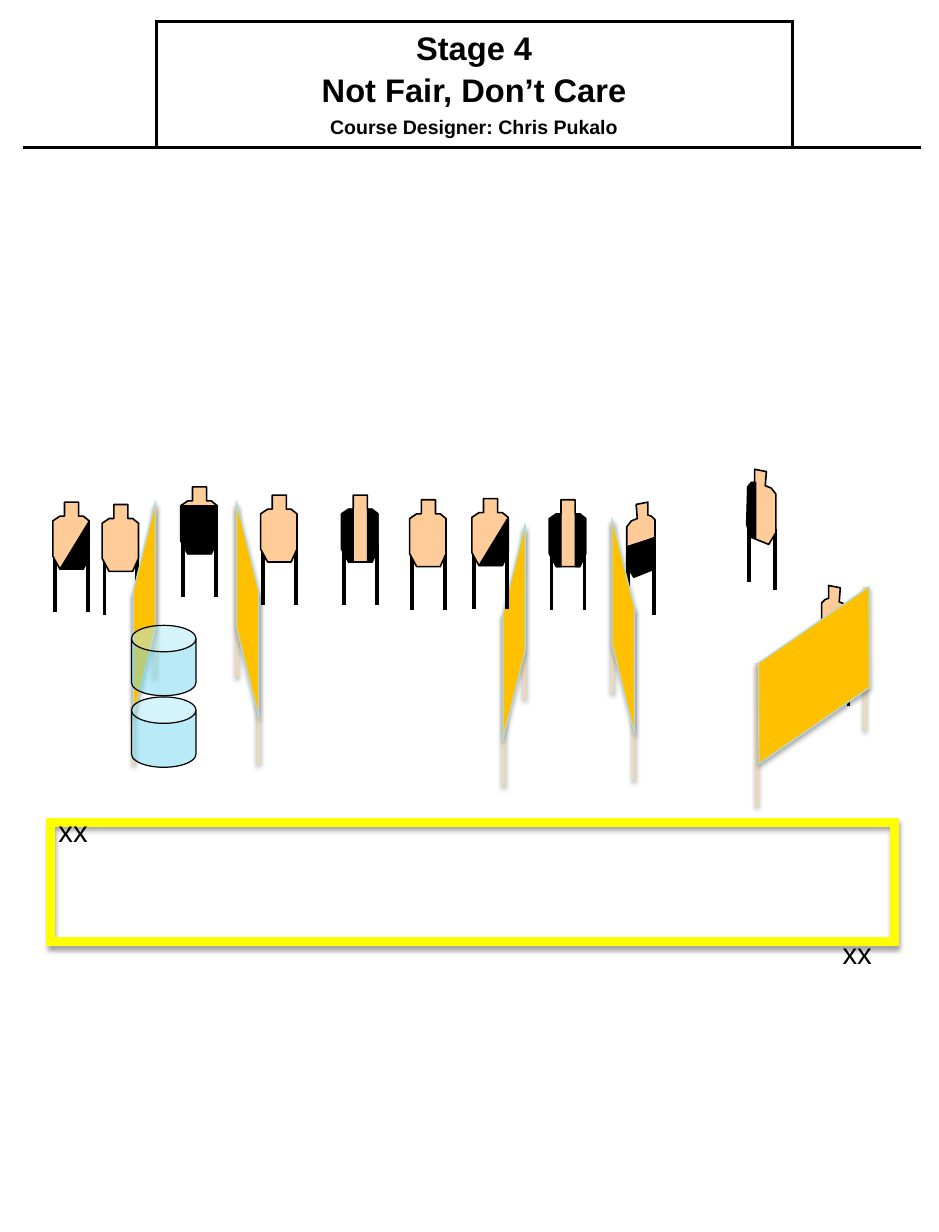
"""Build the stage diagram slide with its title table, targets and walls."""
from lxml import etree
from pptx import Presentation
from pptx.dml.color import RGBColor
from pptx.enum import shapes, text
from pptx.oxml import ns
from pptx.util import Pt

PX = 9144
BLACK = RGBColor(0x00, 0x00, 0x00)
WHITE = RGBColor(0xFF, 0xFF, 0xFF)
TAN = RGBColor(0xFF, 0xCC, 0x99)
YELLOW = RGBColor(0xFF, 0xFF, 0x00)
AMBER = RGBColor(0xFF, 0xC0, 0x00)
WOOD = RGBColor(0xEB, 0xDA, 0xB9)
PALE = RGBColor(0xB5, 0xDA, 0xDD)
AQUA = RGBColor(0x73, 0xD9, 0xF1)
SOFT, FAINT = (35, 23000), (38, 20000)
KIND, LINE = shapes.MSO_SHAPE, shapes.MSO_CONNECTOR.STRAIGHT

FLAT = [(10, 0), (22, 0), (22, 12), (26, 12), (31, 16), (31, 46),
        (26, 57), (6, 57), (0, 46), (0, 16), (6, 12), (10, 12)]
TURNED = [(8, 2), (18, 0), (18, 11), (21, 12), (24, 15), (24, 47),
          (21, 58), (6, 64), (0, 54), (0, 21), (4, 16), (9, 14)]
SIDE = [(22, 12), (22, 57), (26, 57), (31, 46), (31, 16), (26, 12)]
PAINTED = {
    "plain": [],
    "half": [[(31, 16), (31, 46), (26, 57), (6, 57)]],
    "sides": [SIDE, [(32 - x, y) for x, y in SIDE]],
    "body": [[(0, 16), (31, 16), (31, 46), (26, 57), (6, 57), (0, 46)]],
    "low": [[(0, 54), (6, 63), (20, 58), (24, 46), (24, 30), (0, 38)]],
    "edge": [[(-1, 47), (2, 57), (7, 59), (7, 11), (3, 11), (0, 15)]],
}

deck = Presentation()
deck.slide_width, deck.slide_height = 800 * PX, 1050 * PX
tree = deck.slides.add_slide(deck.slide_layouts[6]).shapes


def paint(shape, fill, rim, width, shade=None):
    if fill is not None:
        shape.fill.solid()
        shape.fill.fore_color.rgb = fill
    shape.line.color.rgb = rim
    shape.line.width = Pt(width)
    effects = etree.SubElement(shape._element.spPr, ns.qn("a:effectLst"))
    if shade:
        alpha, drop = shade
        outer = etree.SubElement(effects, ns.qn("a:outerShdw"), blurRad="40000",
                                 dist=str(drop), dir="5400000", rotWithShape="0")
        tone = etree.SubElement(outer, ns.qn("a:srgbClr"), val="000000")
        etree.SubElement(tone, ns.qn("a:alpha"), val=str(alpha * 1000))


def target(x, y, style="plain", turn=None):
    posts = [(2, 42), (30, 42)]
    form = FLAT
    if turn:
        posts, form = [(1, 51), (23, 44)], TURNED
    if turn == "right":
        posts, form = [[(24 - a, b) for a, b in part] for part in (posts, form)]
    for a, b in posts:
        left, top = (x + a) * PX, (y + b) * PX
        paint(tree.add_connector(LINE, left, top, left, top + 52 * PX), None, BLACK, 2.25)
    parts = [(form, TAN, 1)] + [(part, BLACK, 0.75) for part in PAINTED[style]]
    for part, fill, width in parts:
        spots = [(x + a, y + b) for a, b in part]
        pen = tree.build_freeform(*spots[0], scale=PX)
        pen.add_line_segments(spots[1:], close=True)
        paint(pen.convert_to_shape(), fill, BLACK, width)


table = tree.add_table(1, 3, 19 * PX, 18 * PX, 766 * PX, 108 * PX).table
table.first_row = table.horz_banding = False
for column, width in zip(table.columns, (114, 542, 110)):
    column.width = width * PX
for cell, edges in zip(table.rows[0].cells, ("RB", "LRTB", "LB")):
    cell.fill.solid()
    cell.fill.fore_color.rgb = WHITE
    for i, edge in enumerate(edges):
        rule = etree.Element(ns.qn(f"a:ln{edge}"), w=str(Pt(2.25)))
        solid = etree.SubElement(rule, ns.qn("a:solidFill"))
        etree.SubElement(solid, ns.qn("a:srgbClr"), val=str(BLACK))
        cell._tc.tcPr.insert(i, rule)

title = table.cell(0, 1)
title.vertical_anchor = text.MSO_ANCHOR.MIDDLE
title.margin_left = title.margin_right = title.margin_top = title.margin_bottom = 5 * PX
title.text_frame.text = "Stage 4\nNot Fair, Don’t Care\nCourse Designer: Chris Pukalo"
for para, size, gap in zip(title.text_frame.paragraphs, (20, 20, 12), (0, 4, 4.2)):
    para.alignment = text.PP_ALIGN.CENTER
    para.space_before = Pt(gap)
    font = para.runs[0].font
    font.name, font.size, font.bold = "Arial", Pt(size), True
    font.color.rgb = BLACK

target(87, 430)
target(534, 428, "low", "left")
target(700, 499, "plain", "right")

frame = tree.add_shape(KIND.FRAME, 40 * PX, 698 * PX, 725 * PX, 108 * PX)
frame.adjustments[0] = 0.06
paint(frame, YELLOW, YELLOW, 0.75, SOFT)

walls = [((612, 540, 163, 71), 145.4, 0.68, False, [(737, 500, 122), (645, 565, 122)])]
for mid, top, way in ((531, 524, 1), (123, 510, -1), (211, 510, 1), (438, 529, -1)):
    stakes = [(mid + 9 * way, top - 5, 146), (mid - 9 * way, top - 79, 146)]
    walls.append(((mid - 92, top, 184, 19), 270 if way > 0 else 90, 4.03, way < 0, stakes))
for box, angle, slant, flip, stakes in walls:
    for x, y, tall in stakes:
        stake = tree.add_connector(LINE, x * PX, y * PX, x * PX, (y + tall) * PX)
        paint(stake, None, WOOD, 2, FAINT)
    wall = tree.add_shape(KIND.PARALLELOGRAM, *[n * PX for n in box])
    wall.rotation = angle
    wall.adjustments[0] = slant
    if flip:
        wall._element.spPr.xfrm.set("flipH", "1")
    paint(wall, AMBER, PALE, 0.75, SOFT)

for x, y, width in ((708, 792, 72), (40, 688, 60)):
    mark = tree.add_textbox(x * PX, y * PX, width * PX, 40 * PX).text_frame
    mark.word_wrap = True
    mark.auto_size = text.MSO_AUTO_SIZE.SHAPE_TO_FIT_TEXT
    mark.text = "xx"
    font = mark.paragraphs[0].runs[0].font
    font.name, font.size = "Arial", Pt(18)
    font.color.rgb = BLACK

target(468, 426, "sides")
target(637, 400, "edge", "right")

for y in (594, 533):
    can = tree.add_shape(KIND.CAN, 112 * PX, y * PX, 55 * PX, 60 * PX)
    can.adjustments[0] = 0.41
    paint(can, AQUA, BLACK, 0.75)
    tone = can._element.spPr.find(ns.qn("a:solidFill"))[0]
    etree.SubElement(tone, ns.qn("a:alpha"), val="50000")

for x, y, style in ((154, 415, "body"), (291, 422, "sides"), (222, 422, "plain"),
                    (402, 425, "half"), (349, 426, "plain"), (45, 428, "half")):
    target(x, y, style)

deck.save("out.pptx")
